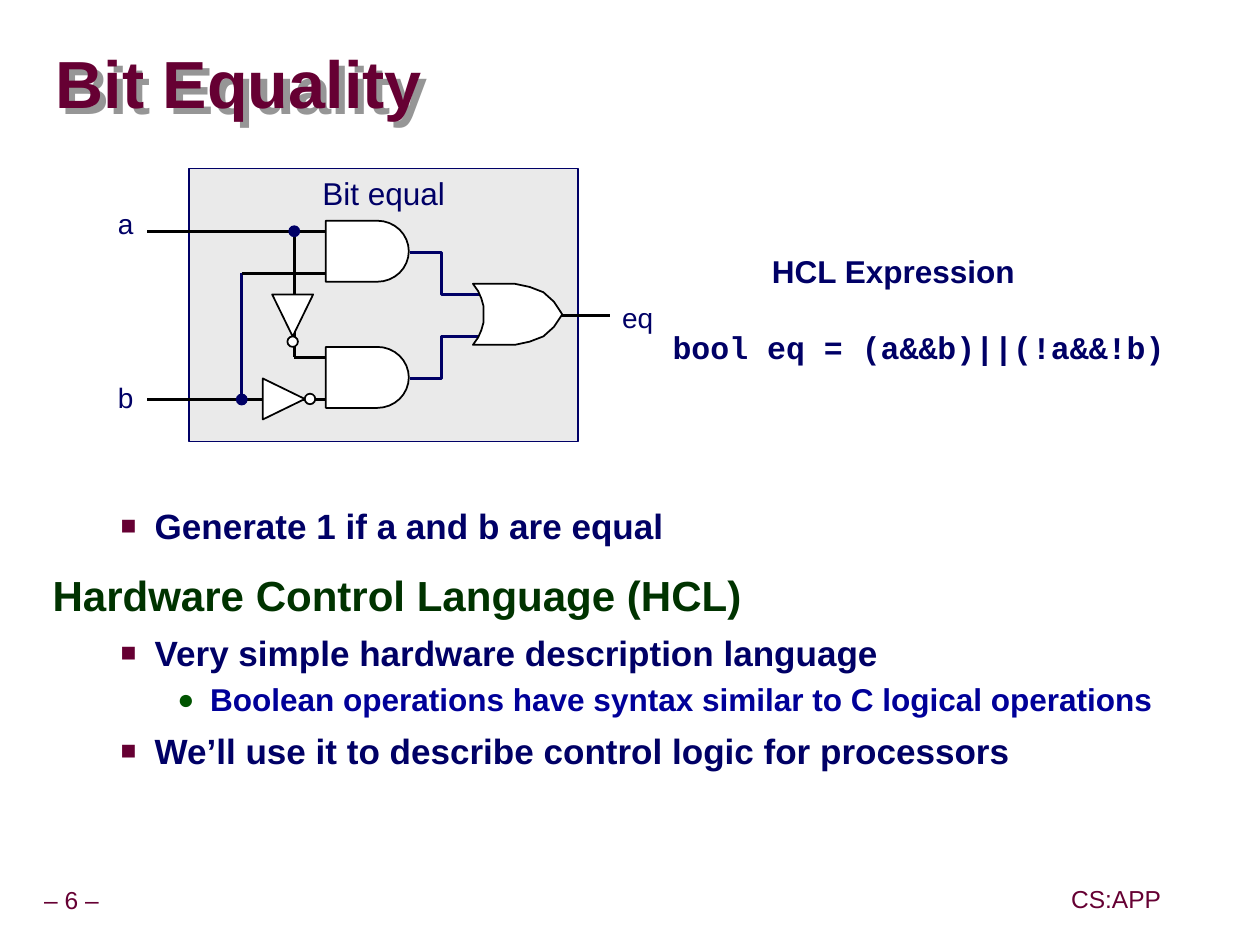
from math import cos, pi, sin

from lxml.etree import SubElement
from pptx import Presentation
from pptx.dml.color import RGBColor
from pptx.enum.shapes import MSO_CONNECTOR as CONN, MSO_SHAPE as SHAPE
from pptx.enum.text import MSO_ANCHOR as ANCHOR, PP_ALIGN as ALIGN
from pptx.oxml.ns import qn
from pptx.util import Inches, Pt

U = Inches(1) // 12  # grid step: twelve columns or rows to the inch
rgb = RGBColor.from_string
NAVY, WINE, BLACK, WHITE = "000066", "660033", "000000", "FFFFFF"
LEFT, CENTER, RIGHT = ALIGN.LEFT, ALIGN.CENTER, ALIGN.RIGHT


def add_text(tf, text, size, color=NAVY, bold=False, font="Arial", align=LEFT,
             spacing=1.0, before=0, margin=0, hang=0, bullet=None):
    """Fill the first empty paragraph or append one; bullet is (char, colour, percent)."""
    p = tf.paragraphs[0]
    if p.runs:
        p = tf.add_paragraph()
    if bullet:
        char, bullet_color, percent = bullet
        pPr = p._p.get_or_add_pPr()
        pPr.set("marL", str(Inches(margin)))
        pPr.set("indent", str(-Inches(hang)))
        SubElement(SubElement(pPr, qn("a:buClr")), qn("a:srgbClr"), val=bullet_color)
        SubElement(pPr, qn("a:buSzPct"), val=str(percent * 1000))
        SubElement(pPr, qn("a:buFont"), typeface="Arial")
        SubElement(pPr, qn("a:buChar"), char=char)
    p.alignment, p.line_spacing, p.space_before = align, spacing, Pt(before)
    r = p.add_run()
    r.text = text
    r.font.size, r.font.bold, r.font.name = Pt(size), bold, font
    r.font.color.rgb = rgb(color)


def outline(points, fill=WHITE, line=BLACK, width=1.0):
    """Draw grid points as a filled closed outline, or as an open wire when fill is None."""
    points = [(round(x * U), round(y * U)) for x, y in points]
    fb = s.shapes.build_freeform(*points[0], scale=1.0)
    fb.add_line_segments(points[1:], close=fill is not None)
    sp = fb.convert_to_shape()
    sp.shadow.inherit = False
    if fill:
        sp.fill.solid()
        sp.fill.fore_color.rgb = rgb(fill)
    else:
        sp.fill.background()
    sp.line.color.rgb, sp.line.width = rgb(line), Pt(width)


prs = Presentation()
prs.slide_width, prs.slide_height = Inches(9.99), Inches(7.49)
s = prs.slides.add_slide(prs.slide_layouts[6])

# Circuit frame
frame = s.shapes.add_shape(SHAPE.RECTANGLE, 18 * U, 16 * U, 37 * U, 26 * U)
frame.shadow.inherit = False
frame.fill.solid()
frame.fill.fore_color.rgb = rgb("EAEAEA")
frame.line.color.rgb, frame.line.width = rgb(NAVY), Pt(0.75)
frame.text_frame.vertical_anchor = ANCHOR.TOP
add_text(frame.text_frame, "Bit equal", 18, align=CENTER)

# Wires
for start, end in ((24, 28), (36, 32)):
    outline([(39, start), (42, start), (42, end), (46, end)], None, NAVY, 1.5)
for x1, y1, x2, y2, color in (
    (14, 22, 31, 22, BLACK),
    (14, 38, 31, 38, BLACK),
    (23, 38, 23, 26, NAVY),
    (23, 26, 31, 26, BLACK),
    (28, 22, 28, 34, BLACK),
    (28, 34, 31, 34, BLACK),
    (53, 30, 58, 30, BLACK),
):
    wire = s.shapes.add_connector(CONN.STRAIGHT, x1 * U, y1 * U, x2 * U, y2 * U)
    wire.line.color.rgb, wire.line.width = rgb(color), Pt(1.5)
    SubElement(wire._element.spPr, qn("a:effectLst"))

# AND gates
for top in (21, 33):
    arc = [(35.9 + 3 * sin(i * pi / 16), top + 2.9 - 2.9 * cos(i * pi / 16))
           for i in range(17)]
    outline([(31, top), *arc, (31, top + 5.8)])

# OR gate: upper half mirrored about its axis
nose = [(45, 2.9), (49, 2.9), (50.4, 2.6), (51.7, 2.1), (52.7, 1.2), (53.5, 0)]
back = [(45.5, 2.2), (45.8, 1.5), (46, 0.8), (46, 0)]
outline([(x, 29.9 - h) for x, h in nose]
        + [(x, 29.9 + h) for x, h in nose[-2::-1] + back]
        + [(x, 29.9 - h) for x, h in back[-2::-1]])

# Inverters, their bubbles and the junction dots
outline([(25.9, 28), (29.8, 28), (27.85, 32)])
outline([(25, 36), (25, 39.9), (29, 37.95)])
for x, y, fill, line, width in (
    (27.85, 32.5, WHITE, BLACK, 1),
    (29.5, 37.95, WHITE, BLACK, 1),
    (28, 22, NAVY, NAVY, 0.75),
    (23, 38, NAVY, NAVY, 0.75),
):
    dot = s.shapes.add_shape(SHAPE.OVAL, round((x - 0.5) * U), round((y - 0.5) * U), U, U)
    dot.shadow.inherit = False
    dot.fill.solid()
    dot.fill.fore_color.rgb = rgb(fill)
    dot.line.color.rgb, dot.line.width = rgb(line), Pt(width)

# Text boxes: place on the grid, anchor, then paragraphs
BOLD = dict(bold=True)
SQUARE = dict(size=20, bold=True, before=6.2, margin=0.81, hang=0.27,
              bullet=("■", WINE, 75))
ROUND = dict(size=18, bold=True, color="000099", spacing=1.07, before=2.2,
             margin=1.25, hang=0.26, bullet=("●", "005400", 90))
LABEL = dict(size=18, bold=True, align=CENTER, spacing=0.9)
FOOTER = dict(size=14, color=WINE, align=CENTER, spacing=0.9)
for (x, y, w, h), anchor, paragraphs in (
    ((5.3, 3.2, 110, 10.2), ANCHOR.MIDDLE, [
        ("Bit Equality", dict(size=38, color=WINE, bold=True, spacing=0.87))]),
    ((5, 48, 106.5, 36), ANCHOR.TOP, [
        ("Generate 1 if a and b are equal", SQUARE | dict(before=0)),
        ("Hardware Control Language (HCL)",
         dict(size=24, bold=True, color="003300", spacing=0.95, before=15)),
        ("Very simple hardware description language", SQUARE),
        ("Boolean operations have syntax similar to C logical operations", ROUND),
        ("We’ll use it to describe control logic for processors", SQUARE)]),
    ((9, 19, 3.7, 4.4), ANCHOR.MIDDLE, [("a", dict(size=16, align=RIGHT))]),
    ((9, 35.6, 3.7, 4.4), ANCHOR.MIDDLE, [("b", dict(size=16, align=RIGHT))]),
    ((59.2, 28, 5, 4.4), ANCHOR.MIDDLE, [("eq", dict(size=16))]),
    ((72.8, 23.8, 24.4, 4.4), ANCHOR.MIDDLE, [("HCL Expression", LABEL)]),
    ((63.4, 31, 48, 4.4), ANCHOR.MIDDLE, [
        ("bool eq = (a&&b)||(!a&&!b)", LABEL | dict(font="Courier New"))]),
    ((0, 83.9, 13.6, 3.7), ANCHOR.MIDDLE, [("– 6 –", FOOTER)]),
    ((101.3, 83.8, 9.8, 3.7), ANCHOR.MIDDLE, [("CS:APP", FOOTER)]),
):
    box = s.shapes.add_textbox(*(round(v * U) for v in (x, y, w, h)))
    tf = box.text_frame
    tf.word_wrap, tf.vertical_anchor = True, anchor
    tf.margin_left = tf.margin_right = tf.margin_top = tf.margin_bottom = 0
    for text, style in paragraphs:
        add_text(tf, text, **style)
    if text == "Bit Equality":
        effects = SubElement(box._element.spPr, qn("a:effectLst"))
        shadow = SubElement(effects, qn("a:outerShdw"), dist=str(Inches(0.07)),
                            dir="2700000", algn="ctr", rotWithShape="0")
        SubElement(shadow, qn("a:srgbClr"), val="969696")

prs.save("out.pptx")
